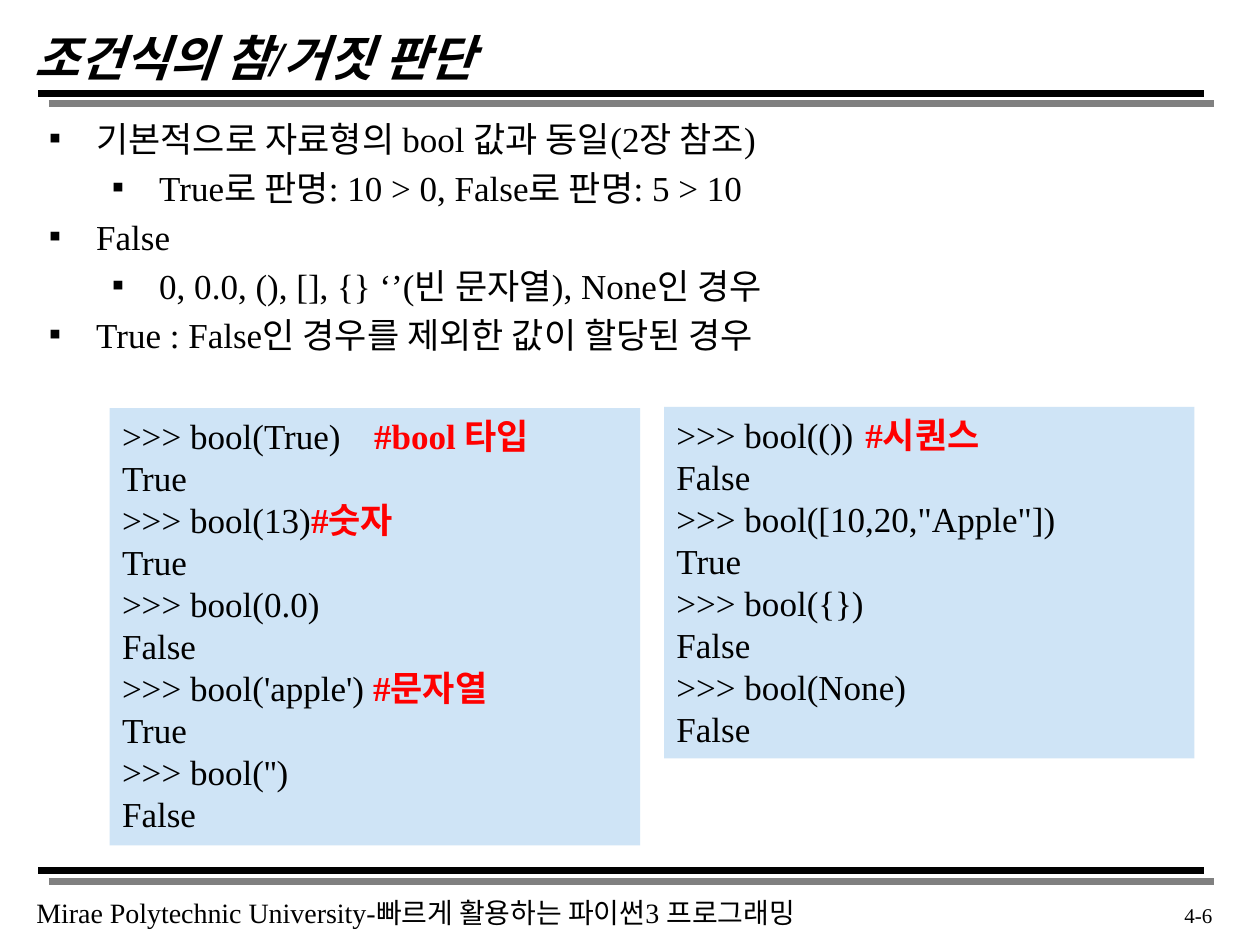
from dataclasses import dataclass

from lxml.etree import SubElement
from pptx import Presentation
from pptx.dml.color import RGBColor
from pptx.enum.shapes import MSO_CONNECTOR, MSO_SHAPE
from pptx.enum.text import MSO_ANCHOR, PP_ALIGN
from pptx.oxml.ns import qn
from pptx.util import Pt


@dataclass(frozen=True)
class Theme:
    """Colours, type sizes and font of the slide."""
    ink: str = "000000"
    shade: str = "808080"
    note: str = "FF0000"
    panel: str = "CFE4F6"
    font: str = "Times New Roman"
    title: int = 28
    body: int = 20
    foot: int = 16
    page: int = 12


THEME = Theme()

BULLETS = [
    (0, "기본적으로 자료형의 bool 값과 동일(2장 참조)"),
    (1, "True로 판명: 10 > 0, False로 판명: 5 > 10"),
    (0, "False"),
    (1, "0, 0.0, (), [], {} ‘’(빈 문자열), None인 경우"),
    (0, "True : False인 경우를 제외한 값이 할당된 경우"),
]

# Each entry: expression, gap before the note, note, result
BASICS = [
    ("True", "\t", "#bool 타입", "True"),
    ("13", "\t", "#숫자", "True"),
    ("0.0", "", "", "False"),
    ("'apple'", " ", "#문자열", "True"),
    ("''", "", "", "False"),
]
GROUPS = [
    ("()", "\t", "#시퀀스", "False"),
    ('[10,20,"Apple"]', "", "", "True"),
    ("{}", "", "", "False"),
    ("None", "", "", "False"),
]


def style(run, size, color=THEME.ink, bold=False, italic=False):
    """Format one run."""
    font = run.font
    font.name, font.size = THEME.font, Pt(size)
    font.bold, font.italic = bold, italic
    font.color.rgb = RGBColor.from_string(color)


def place(shape, left, top, width, height):
    """Move and size a shape, in points."""
    shape.left, shape.top = Pt(left), Pt(top)
    shape.width, shape.height = Pt(width), Pt(height)


def add_title(slide, text):
    """Fill and format the title placeholder."""
    title = slide.shapes.title
    place(title, 12.24, 12.24, 612, 36)
    frame = title.text_frame
    frame.text = text
    frame.vertical_anchor = MSO_ANCHOR.TOP
    para = frame.paragraphs[0]
    para.alignment = PP_ALIGN.LEFT
    style(para.runs[0], THEME.title, bold=True, italic=True)


def add_line(slide, left, top, width, color):
    """Draw one plain horizontal line."""
    line = slide.shapes.add_connector(
        MSO_CONNECTOR.STRAIGHT, Pt(left), Pt(top), Pt(left + width), Pt(top))
    line.line.width = Pt(4)
    line.line.color.rgb = RGBColor.from_string(color)
    SubElement(line._element.spPr, qn("a:effectLst"))


def add_rule(slide, top):
    """Draw a black rule over its grey echo."""
    for shift, color in ((6, THEME.shade), (0, THEME.ink)):
        add_line(slide, 22 + shift, top + shift, 666, color)


def add_label(slide, box, text, size, align=PP_ALIGN.LEFT, wrap=True):
    """Add a one-line text box."""
    frame = slide.shapes.add_textbox(*map(Pt, box)).text_frame
    frame.word_wrap = wrap
    frame.text = text
    para = frame.paragraphs[0]
    para.alignment = align
    style(para.runs[0], size)


def add_bullets(slide, items):
    """Add the two-level bullet list."""
    box = slide.shapes.add_textbox(Pt(20.88), Pt(63.36), Pt(675.36), Pt(405.36))
    frame = box.text_frame
    frame.word_wrap = True
    frame.text = "\n".join(text for _, text in items)
    for para, (level, _) in zip(frame.paragraphs, items):
        para.level = level
        para.space_before = Pt(4)
        props = para._p.get_or_add_pPr()
        props.set("marL", str(Pt(27 + 36 * level)))
        props.set("indent", str(-Pt(27)))
        SubElement(props, qn("a:buFont"), typeface=THEME.font)
        SubElement(props, qn("a:buChar"), char="▪")
        style(para.runs[0], THEME.body)


def add_code(slide, left, top, height, calls):
    """Add a panel with prompts, notes and results."""
    panel = slide.shapes.add_shape(
        MSO_SHAPE.RECTANGLE, Pt(left), Pt(top), Pt(303.12), Pt(height))
    panel.shadow.inherit = False
    panel.fill.solid()
    panel.fill.fore_color.rgb = RGBColor.from_string(THEME.panel)
    panel.line.fill.background()
    frame = panel.text_frame
    frame.word_wrap = True
    frame.vertical_anchor = MSO_ANCHOR.TOP
    frame.text = "\n".join(
        f">>> bool({value}){gap}\n{result}" for value, gap, _, result in calls)
    for para in frame.paragraphs:
        para.alignment = PP_ALIGN.LEFT
        style(para.runs[0], THEME.body)
    for para, (_, _, note, _) in zip(frame.paragraphs[::2], calls):
        if note:
            run = para.add_run()
            run.text = note
            style(run, THEME.body, THEME.note, bold=True)


def main():
    """Build and save the slide."""
    deck = Presentation()
    deck.slide_width, deck.slide_height = Pt(720), Pt(540)
    slide = deck.slides.add_slide(deck.slide_layouts[5])
    for top in (53.28, 497.52):
        add_rule(slide, top)
    add_label(slide, (13.68, 508.32, 475.2, 26.64),
              "Mirae Polytechnic University-빠르게 활용하는 파이썬3 프로그래밍",
              THEME.foot, wrap=False)
    add_title(slide, "조건식의 참/거짓 판단")
    add_bullets(slide, BULLETS)
    add_label(slide, (640.08, 511.92, 59.76, 23.04), "4-6", THEME.page,
              PP_ALIGN.RIGHT)
    add_code(slide, 62.64, 233.28, 249.84, BASICS)
    add_code(slide, 379.44, 232.56, 200.88, GROUPS)
    deck.save("out.pptx")


main()
